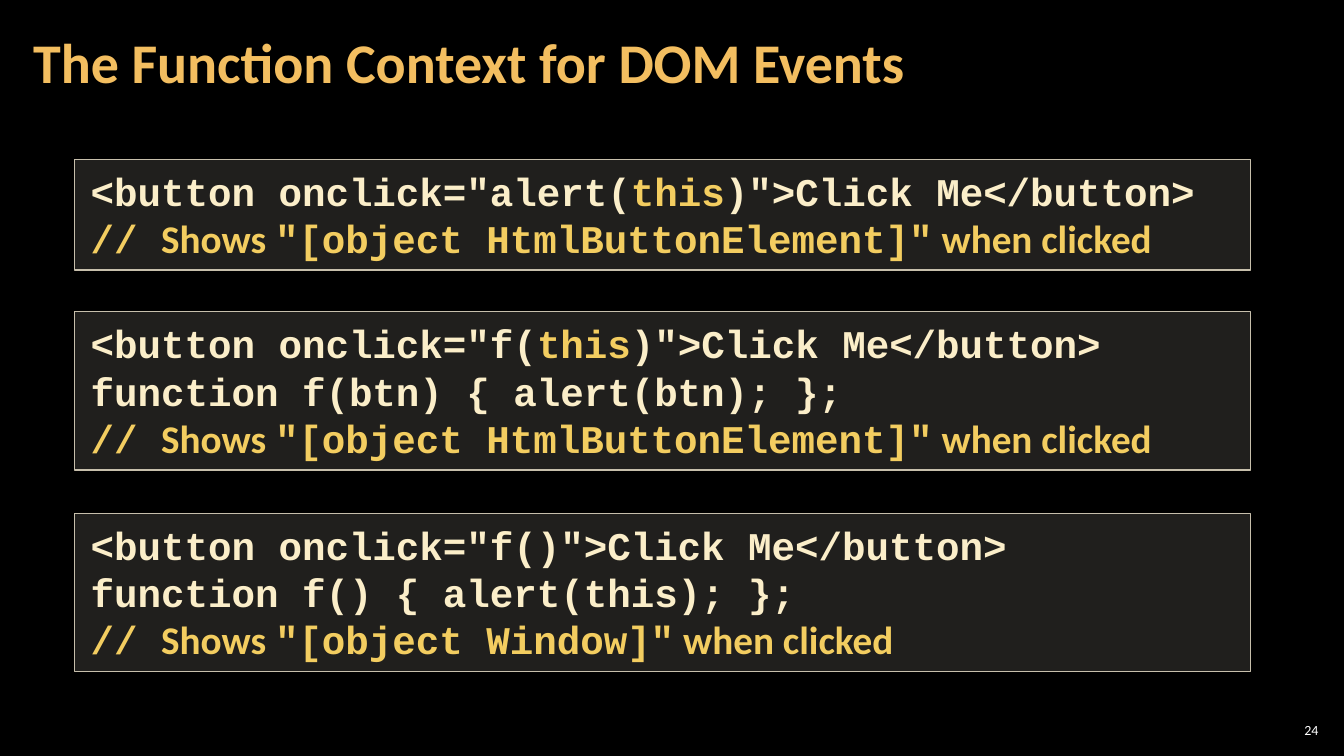
from lxml import etree
from pptx import Presentation
from pptx.dml.color import RGBColor
from pptx.enum import shapes, text
from pptx.oxml import ns
from pptx.util import Pt

CODE_FONT, PROSE_FONT = "Courier New", "Calibri"
CREAM, YELLOW = "FBEEC9", "F3CD60"
BOX_LEFT, BOX_WIDTH = 53.3, 840


def color(hex_code):
    """Turn a hex string into a colour."""
    return RGBColor.from_string(hex_code)


def add_text(paragraph, words, *, size=28, font=CODE_FONT, hue=CREAM, bold=True):
    """Append a formatted run to a paragraph."""
    run = paragraph.add_run()
    run.text = words
    run.font.size = Pt(size)
    run.font.name = font
    run.font.bold = bold
    run.font.color.rgb = color(hue)


def set_frame(frame, side, edge, anchor, wrap=True):
    """Set the margins, anchor and wrapping of a text frame."""
    frame.margin_left = frame.margin_right = Pt(side)
    frame.margin_top = frame.margin_bottom = Pt(edge)
    frame.vertical_anchor = anchor
    frame.word_wrap = wrap


def set_opacity(fill, percent):
    """Make a solid RGB fill partly transparent."""
    rgb = fill._xPr.find(".//" + ns.qn("a:srgbClr"))
    etree.SubElement(rgb, ns.qn("a:alpha")).set("val", str(percent * 1000))


def add_title(slide, words):
    """Place and format the slide title."""
    title = slide.shapes.title
    title.left, title.top, title.width, title.height = Pt(15), Pt(3), Pt(771), Pt(87)
    frame = title.text_frame
    set_frame(frame, 8.64, 3, text.MSO_ANCHOR.MIDDLE)
    frame.auto_size = text.MSO_AUTO_SIZE.NONE
    heading = frame.paragraphs[0]
    heading.alignment = text.PP_ALIGN.LEFT
    heading.line_spacing = 0.9
    add_text(heading, words, size=40, font=PROSE_FONT, hue="F3BE60")


def add_page_number(slide, number):
    """Write the page number in the lower right corner."""
    corner = slide.shapes.add_textbox(Pt(911), Pt(514), Pt(33.8), Pt(15))
    set_frame(corner.text_frame, 3, 3, text.MSO_ANCHOR.MIDDLE)
    paragraph = corner.text_frame.paragraphs[0]
    paragraph.alignment = text.PP_ALIGN.RIGHT
    add_text(paragraph, number, size=10, font=PROSE_FONT, hue="FFFFFF", bold=False)


def add_code_box(slide, top, height, code_lines, shown):
    """Draw a framed code sample that ends with a comment on its result."""
    box = slide.shapes.add_shape(
        shapes.MSO_SHAPE.RECTANGLE, Pt(BOX_LEFT), Pt(top), Pt(BOX_WIDTH), Pt(height))
    box.shadow.inherit = False
    box.fill.solid()
    box.fill.fore_color.rgb = color("D9D5C7")
    set_opacity(box.fill, 15)
    box.line.color.rgb = color("C7BFAC")
    box.line.width = Pt(1)

    frame = box.text_frame
    set_frame(frame, 11.5, 5.76, text.MSO_ANCHOR.TOP)
    comment = [("// ", CODE_FONT), ("Shows ", PROSE_FONT),
               (f'"[object {shown}]"', CODE_FONT), (" when clicked", PROSE_FONT)]
    for code_line in code_lines:
        paragraph = frame.paragraphs[0] if code_line is code_lines[0] else frame.add_paragraph()
        paragraph.alignment = text.PP_ALIGN.LEFT
        for words, hue in code_line:
            add_text(paragraph, words, hue=hue)
    remark = frame.add_paragraph()
    remark.alignment = text.PP_ALIGN.LEFT
    for words, font in comment:
        add_text(remark, words, font=font, hue=YELLOW)


def button_line(call, argument=""):
    """Return the button markup with its argument highlighted."""
    start, end = f'<button onclick="{call}(', ')">Click Me</button>'
    if not argument:
        return [(start + end, CREAM)]
    return [(start, CREAM), (argument, YELLOW), (end, CREAM)]


def main():
    """Build and save the slide."""
    deck = Presentation()
    deck.slide_width, deck.slide_height = Pt(960), Pt(540)
    slide = deck.slides.add_slide(deck.slide_layouts[5])
    slide.background.fill.solid()
    slide.background.fill.fore_color.rgb = color("000000")

    add_page_number(slide, "24")
    add_title(slide, "The Function Context for DOM Events")
    samples = [
        (113.8, 79.2, [button_line("alert", "this")], "HtmlButtonElement"),
        (222.7, 113, [button_line("f", "this"),
                      [("function f(btn) { alert(btn); };", CREAM)]], "HtmlButtonElement"),
        (366.7, 113, [button_line("f"),
                      [("function f() { alert(this); };", CREAM)]], "Window"),
    ]
    for sample in samples:
        add_code_box(slide, *sample)
    deck.save("out.pptx")


if __name__ == "__main__":
    main()
